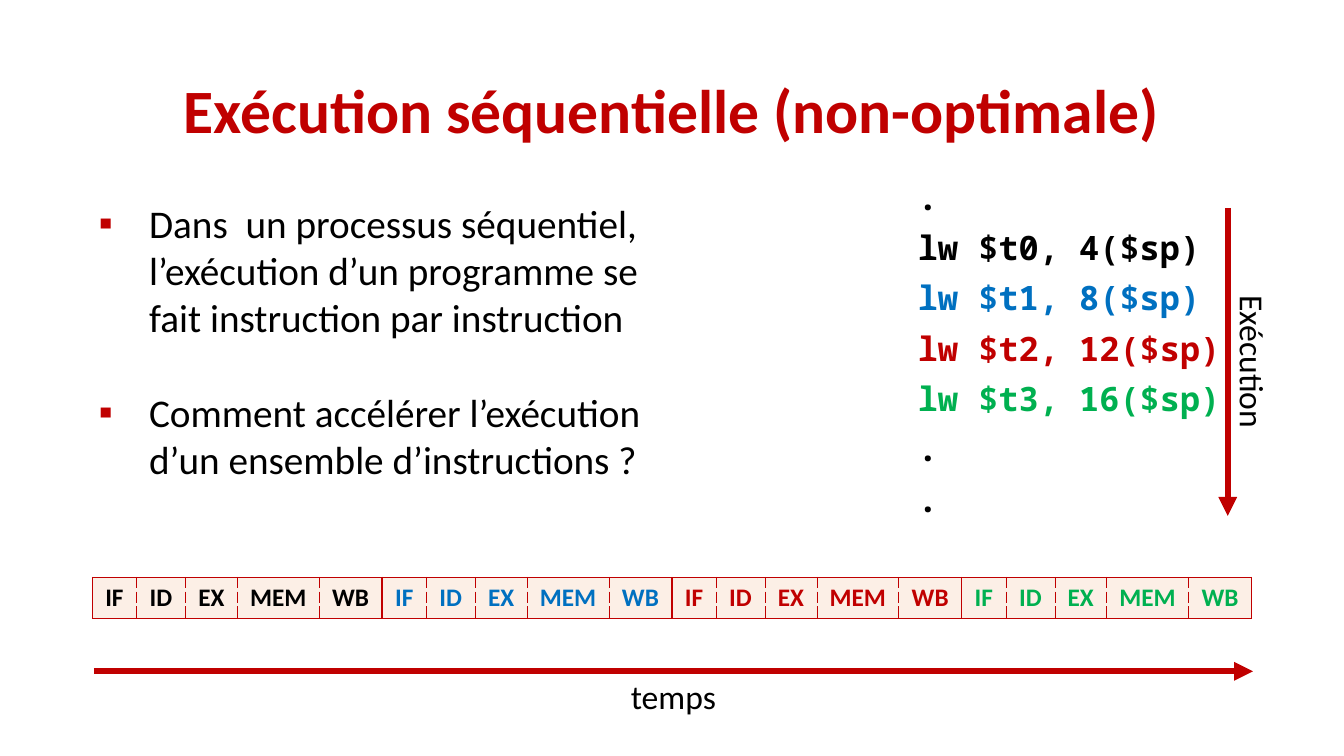
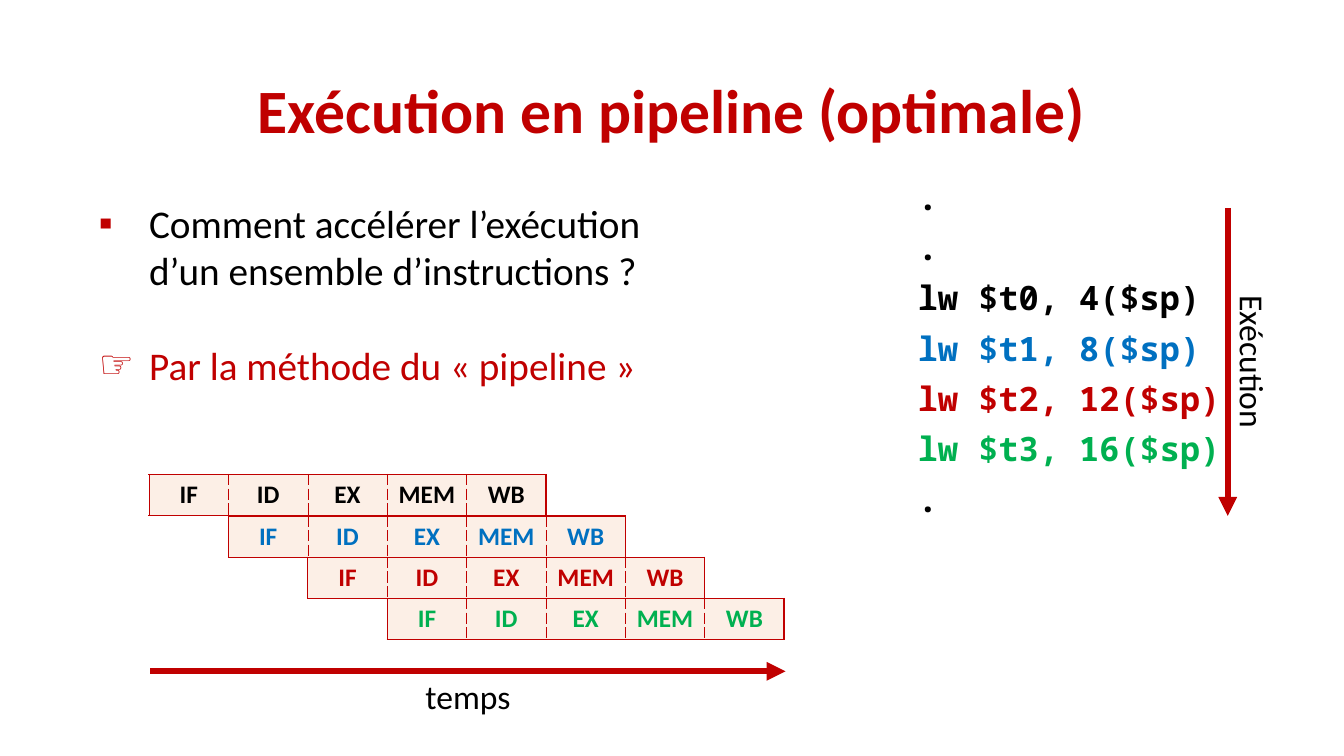
"""Build two slides comparing sequential and pipelined instruction execution."""
from lxml import etree
from pptx import Presentation
from pptx.dml.color import RGBColor
from pptx.enum.shapes import MSO_CONNECTOR, MSO_SHAPE
from pptx.enum.text import MSO_ANCHOR, PP_ALIGN
from pptx.oxml.ns import qn
from pptx.util import Pt

STRAIGHT = MSO_CONNECTOR.STRAIGHT
RECTANGLE = MSO_SHAPE.RECTANGLE
TOP, MIDDLE = MSO_ANCHOR.TOP, MSO_ANCHOR.MIDDLE
LEFT, CENTER = PP_ALIGN.LEFT, PP_ALIGN.CENTER

BLACK = RGBColor(0x00, 0x00, 0x00)
WHITE = RGBColor(0xFF, 0xFF, 0xFF)
RED = RGBColor(0xC0, 0x00, 0x00)
BLUE = RGBColor(0x00, 0x70, 0xC0)
GREEN = RGBColor(0x00, 0xB0, 0x50)
PEACH = RGBColor(0xF4, 0xB1, 0x83)

BODY_FONT = "Calibri"
CODE_FONT = "Noto Sans Mono"

STAGES = ["IF", "ID", "EX", "MEM", "WB"]
ROW_HEIGHT = 29.5
DOT = (".", BLACK)
INSTRUCTIONS = [
    ("lw $t0, 4($sp)", BLACK),
    ("lw $t1, 8($sp)", BLUE),
    ("lw $t2, 12($sp)", RED),
    ("lw $t3, 16($sp)", GREEN),
]
SPEED_QUESTION = "Comment accélérer l’exécution d’un ensemble d’instructions ?"


def style(para, size, color, bold=False, font=BODY_FONT, align=CENTER):
    """Format a paragraph and all its runs."""
    para.alignment = align
    for span in para.runs:
        span.font.name = font
        span.font.size = Pt(size)
        span.font.bold = bold
        span.font.color.rgb = color


def add_text(page, text, left, top, width, height, size, color=BLACK, bold=False):
    """Add a text box with one centred paragraph."""
    box = page.shapes.add_textbox(Pt(left), Pt(top), Pt(width), Pt(height))
    box.text_frame.word_wrap = True
    box.text_frame.text = text
    style(box.text_frame.paragraphs[0], size, color, bold)
    return box


def add_title(page, text):
    """Add the slide title."""
    box = add_text(page, text, 66, 29, 828, 104.5, 44, RED, True)
    box.text_frame.vertical_anchor = MIDDLE
    box.text_frame.paragraphs[0].line_spacing = 0.9


def set_bullet(para, symbol):
    """Give a paragraph a red bullet with a hanging indent."""
    props = para._p.get_or_add_pPr()
    props.set("marL", str(Pt(36)))
    props.set("indent", str(Pt(-36)))
    color = etree.SubElement(props, qn("a:buClr"))
    etree.SubElement(color, qn("a:srgbClr"), val=str(RED))
    etree.SubElement(props, qn("a:buFont"), typeface=BODY_FONT)
    etree.SubElement(props, qn("a:buChar"), char=symbol)


def add_bullets(page, items, height):
    """Add the bulleted list; items are (symbol, text, color)."""
    box = page.shapes.add_textbox(Pt(63.5), Pt(139), Pt(407.5), Pt(height))
    frame = box.text_frame
    frame.word_wrap = True
    frame.text = "\n".join(text for _, text, _ in items)
    for index, (para, (symbol, _, color)) in enumerate(zip(frame.paragraphs, items)):
        style(para, 28, color, align=LEFT)
        if index:
            para.space_before = Pt(34)
        set_bullet(para, symbol)


def add_arrow(page, x1, y1, x2, y2):
    """Add a thick red arrow."""
    arrow = page.shapes.add_connector(STRAIGHT, Pt(x1), Pt(y1), Pt(x2), Pt(y2))
    arrow.line.color.rgb = RED
    arrow.line.width = Pt(4.5)
    etree.SubElement(arrow.line._get_or_add_ln(), qn("a:tailEnd"), type="triangle")
    etree.SubElement(arrow._element.spPr, qn("a:effectLst"))


def add_program(page, dots_before):
    """Add the instruction listing and its downward execution arrow."""
    box = page.shapes.add_shape(RECTANGLE, Pt(576.5), Pt(126), Pt(317.5), Pt(268))
    box.shadow.inherit = False
    box.fill.background()
    box.line.color.rgb = WHITE
    box.line.width = Pt(0.75)
    frame = box.text_frame
    frame.word_wrap = True
    frame.vertical_anchor = TOP
    lines = [DOT] * dots_before + INSTRUCTIONS + [DOT] * (3 - dots_before)
    frame.text = "\n".join(text for text, _ in lines)
    for para, (_, color) in zip(frame.paragraphs, lines):
        style(para, 24, color, True, CODE_FONT, LEFT)
        para.line_spacing = 0.9
        para.space_before = Pt(10)
        para._p.get_or_add_pPr().set("marL", str(Pt(72)))
    add_arrow(page, 877, 148.5, 877, 368.5)
    label = add_text(page, "Exécution", 785, 240.5, 220.5, 36, 24)
    label.rotation = 90


def set_borders(cell, first, last):
    """Draw solid outer borders and dashed borders between stages."""
    props = cell._tc.get_or_add_tcPr()
    solid_sides = {"L": first, "R": last, "T": True, "B": True}
    for index, (side, solid) in enumerate(solid_sides.items()):
        line = etree.Element(qn(f"a:ln{side}"), w=str(Pt(1 if solid else 0.5)))
        fill = etree.SubElement(line, qn("a:solidFill"))
        etree.SubElement(fill, qn("a:srgbClr"), val=str(RED))
        etree.SubElement(line, qn("a:prstDash"), val="solid" if solid else "dash")
        props.insert(index, line)


def add_stages(page, left, top, widths, color):
    """Add the five stages of one instruction as a table row."""
    frame = page.shapes.add_table(
        1, len(STAGES), Pt(left), Pt(top), Pt(sum(widths)), Pt(ROW_HEIGHT))
    table = frame.table
    table.first_row = False
    table.horz_banding = False
    for index, (stage, width) in enumerate(zip(STAGES, widths)):
        table.columns[index].width = Pt(width)
        cell = table.cell(0, index)
        cell.text = stage
        cell.vertical_anchor = MIDDLE
        style(cell.text_frame.paragraphs[0], 18, color, True)
        cell.fill.solid()
        cell.fill.fore_color.rgb = PEACH
        tint = cell._tc.tcPr.find(".//" + qn("a:srgbClr"))
        etree.SubElement(tint, qn("a:alpha"), val="20000")
        set_borders(cell, index == 0, index == len(STAGES) - 1)


def add_timeline(page, left, top, widths, step_x, step_y):
    """Add one stage row per instruction and the time arrow below."""
    for index, (_, color) in enumerate(INSTRUCTIONS):
        add_stages(page, left + index * step_x, top + index * step_y, widths, color)
    length = (len(INSTRUCTIONS) - 1) * step_x + sum(widths)
    add_arrow(page, left + 1, 479.5, left + 1 + length, 479.5)
    add_text(page, "temps", left + 1, 479, length, 36, 24)


def add_page(deck, title, dots_before, bullets, bullets_height):
    """Add a slide with title, listing and bullets."""
    page = deck.slides.add_slide(deck.slide_layouts[6])
    add_program(page, dots_before)
    add_title(page, title)
    add_bullets(page, bullets, bullets_height)
    return page


def main():
    """Build and save the deck."""
    deck = Presentation()
    deck.slide_width, deck.slide_height = Pt(960), Pt(540)

    page = add_page(deck, "Exécution séquentielle (non-optimale)", 1, [
        ("▪", "Dans  un processus séquentiel, l’exécution d’un programme se "
              "fait instruction par instruction", BLACK),
        ("▪", SPEED_QUESTION, BLACK),
    ], 211)
    widths = [31.5, 35, 37, 58.5, 45]
    add_timeline(page, 66, 412.5, widths, sum(widths), 0)

    page = add_page(deck, "Exécution en pipeline (optimale)", 2, [
        ("▪", SPEED_QUESTION, BLACK),
        ("☞", "Par la méthode du «\u00a0pipeline\u00a0»", RED),
    ], 143)
    stage_width = 56.7
    add_timeline(page, 106.5, 339, [stage_width] * len(STAGES), stage_width, ROW_HEIGHT)

    deck.save("out.pptx")


if __name__ == "__main__":
    main()
